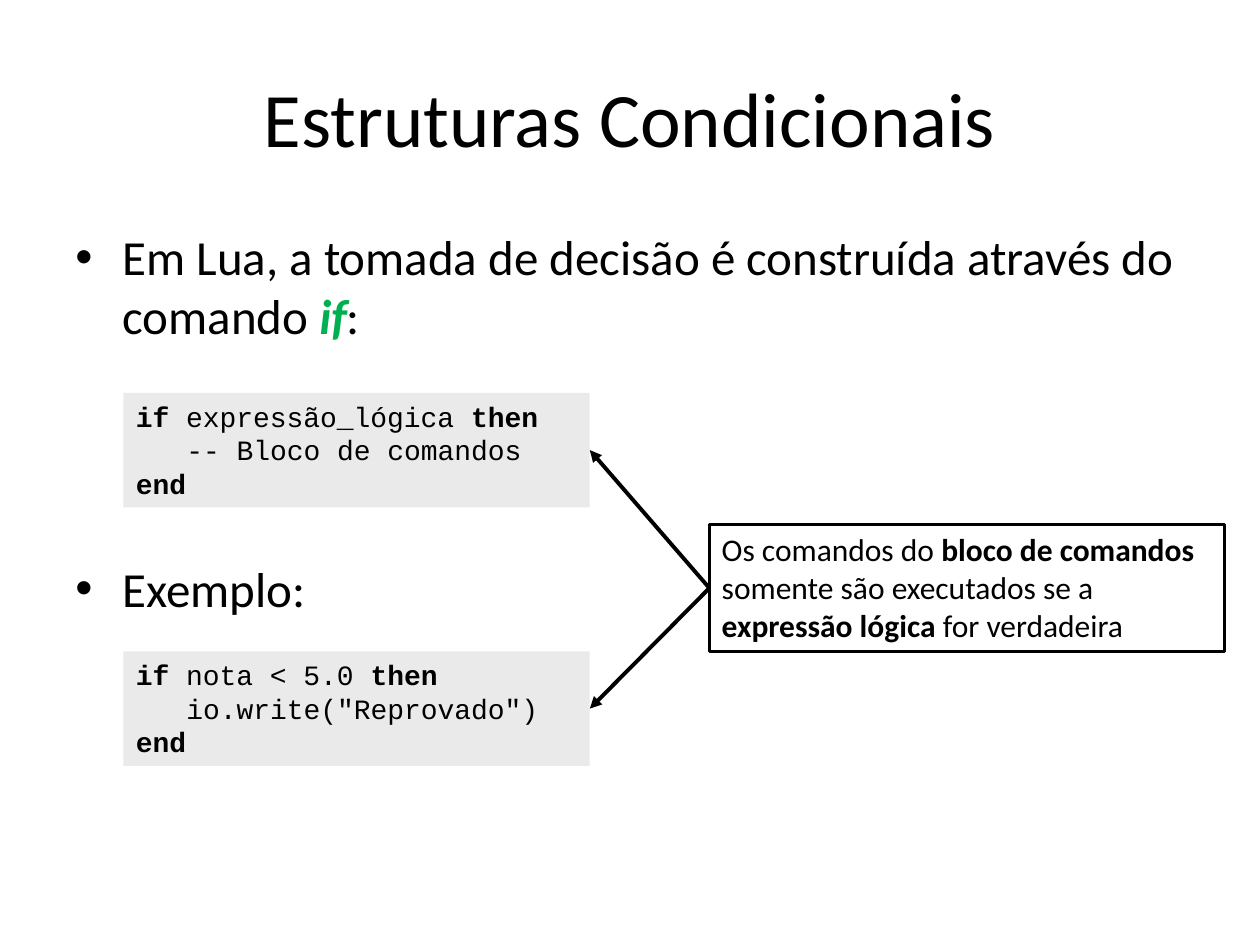
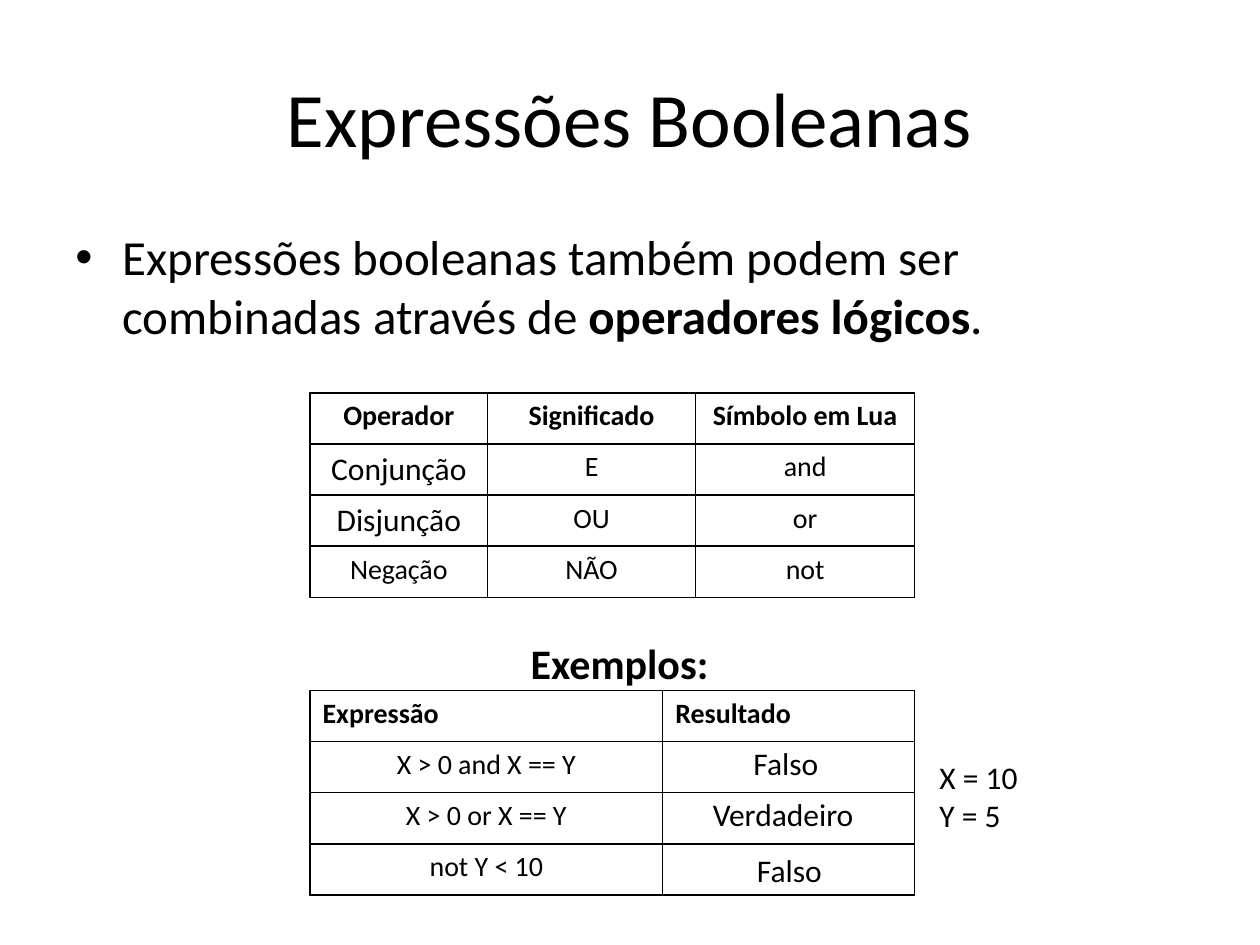
"""Two lecture slides on conditionals and boolean expressions in Lua."""
from dataclasses import dataclass

import lxml.etree
import pptx
import pptx.dml.color
import pptx.enum.shapes
import pptx.enum.text
import pptx.oxml.ns
import pptx.util

Cm = pptx.util.Cm
Pt = pptx.util.Pt
qn = pptx.oxml.ns.qn
PP_ALIGN = pptx.enum.text.PP_ALIGN
MSO_ANCHOR = pptx.enum.text.MSO_ANCHOR


@dataclass(frozen=True)
class Theme:
    """Colours, fonts, type sizes (pt) and line widths (pt)."""
    ink: str = "000000"
    keyword: str = "00B050"
    code_fill: str = "EAEAEA"
    font: str = "Calibri"
    code_font: str = "Courier New"
    title: int = 44
    body: int = 28
    heading: int = 24
    note: int = 18
    small: int = 16
    border: float = 1
    frame: float = 1.5
    arrow: float = 2.25


T = Theme()
BOLD = {"bold": True}
CODE_LEFT, CODE_WIDTH, CODE_HEIGHT = 2.49, 9.4, 2.31
CODE_INDENT = 1.02
TABLE_LEFT, ROW_HEIGHT = 6.25, 1.03


def rgb(value):
    """Turn a hex string into a colour."""
    return pptx.dml.color.RGBColor.from_string(value)


def add_sub(parent, tag, **attrs):
    """Append one DrawingML element."""
    return lxml.etree.SubElement(parent, qn(tag), attrs)


def write_runs(p, content, size, font=T.font, align=None, **base):
    """Fill a paragraph from a string or a list of (text, format) pairs."""
    p.alignment = align
    runs = [(content, {})] if isinstance(content, str) else content
    for text, extra in runs:
        r = p.add_run()
        r.text = text
        fmt = {"name": font, "size": Pt(size), **base, **extra}
        r.font.color.rgb = rgb(fmt.pop("color", T.ink))
        for key, value in fmt.items():
            setattr(r.font, key, value)


def indent(p, left, first=0):
    """Set the left margin and first-line indent of a paragraph in cm."""
    pPr = p._p.get_or_add_pPr()
    pPr.set("marL", str(Cm(left)))
    pPr.set("indent", str(Cm(first)))
    return pPr


def write_lines(tf, lines, size, **fmt):
    """Write one paragraph per line and return the paragraphs."""
    for i, line in enumerate(lines):
        p = tf.paragraphs[0] if i == 0 else tf.add_paragraph()
        write_runs(p, line, size, **fmt)
    return tf.paragraphs


def add_text(s, box, lines, size, anchor=MSO_ANCHOR.TOP, wrap=True, **fmt):
    """Add a text box and return its paragraphs."""
    tf = s.shapes.add_textbox(*map(Cm, box)).text_frame
    tf.word_wrap = wrap
    tf.vertical_anchor = anchor
    return write_lines(tf, lines, size, **fmt)


def add_title(s, text):
    """Add the centred slide title."""
    add_text(s, (1.27, 0.76, 22.86, 3.18), [text], T.title,
             anchor=MSO_ANCHOR.MIDDLE, align=PP_ALIGN.CENTER)


def add_bullets(s, items, gap=0):
    """Add the bulleted body, with a gap in points between items."""
    for i, p in enumerate(add_text(s, (1.27, 4.45, 22.86, 12.57), items, T.body)):
        p.space_before = Pt(gap if i else 0)
        pPr = indent(p, 0.95, -0.95)
        add_sub(pPr, "a:buFont", typeface="Arial")
        add_sub(pPr, "a:buChar", char="•")


def add_panel(s, box, lines, size, fill=None, line=None, **fmt):
    """Add a rectangle with left-aligned text and return its paragraphs."""
    sp = s.shapes.add_shape(
        pptx.enum.shapes.MSO_SHAPE.RECTANGLE, *map(Cm, box))
    sp.shadow.inherit = False
    if fill:
        sp.fill.solid()
        sp.fill.fore_color.rgb = rgb(fill)
    else:
        sp.fill.background()
    if line:
        sp.line.color.rgb = rgb(line)
        sp.line.width = Pt(T.frame)
    else:
        sp.line.fill.background()
    tf = sp.text_frame
    tf.word_wrap = True
    tf.vertical_anchor = MSO_ANCHOR.TOP
    return write_lines(tf, lines, size, align=PP_ALIGN.LEFT, **fmt)


def add_code(s, top, condition, command):
    """Add an if-then-end listing around one command."""
    lines = [[("if ", BOLD), (condition + " ", {}), ("then", BOLD)],
             command, [("end", BOLD)]]
    paragraphs = add_panel(s, (CODE_LEFT, top, CODE_WIDTH, CODE_HEIGHT), lines,
                           T.small, fill=T.code_fill, font=T.code_font)
    indent(paragraphs[1], CODE_INDENT)


def add_arrow(s, start, end):
    """Add a straight arrow between two points in cm."""
    c = s.shapes.add_connector(pptx.enum.shapes.MSO_CONNECTOR.STRAIGHT,
                               *map(Cm, (*start, *end)))
    c.line.color.rgb = rgb(T.ink)
    c.line.width = Pt(T.arrow)
    add_sub(c.line._get_or_add_ln(), "a:tailEnd", type="triangle")
    add_sub(c._element.spPr, "a:effectLst")


def add_borders(cell):
    """Draw the four borders of a table cell."""
    tcPr = cell._tc.get_or_add_tcPr()
    for side in "LRTB":
        ln = add_sub(tcPr, f"a:ln{side}", w=str(Pt(T.border)))
        add_sub(add_sub(ln, "a:solidFill"), "a:srgbClr", val=T.ink)


def add_grid(s, top, widths, rows, header_align=PP_ALIGN.CENTER, large=()):
    """Add a bordered table; words listed in large get the note size."""
    tbl = s.shapes.add_table(
        len(rows), len(widths), Cm(TABLE_LEFT), Cm(top),
        Cm(sum(widths)), Cm(ROW_HEIGHT * len(rows))).table
    tbl.first_row = tbl.horz_banding = False
    for col, width in zip(tbl.columns, widths):
        col.width = Cm(width)
    for i, row in enumerate(rows):
        tbl.rows[i].height = Cm(ROW_HEIGHT)
        for j, text in enumerate(row):
            cell = tbl.cell(i, j)
            add_borders(cell)
            cell.fill.background()
            if text:
                write_runs(cell.text_frame.paragraphs[0], text,
                           T.note if text in large else T.small,
                           align=PP_ALIGN.CENTER if i else header_align,
                           bold=i == 0)


def conditionals_slide(s):
    """Build the slide on the if command."""
    add_title(s, "Estruturas Condicionais")
    add_bullets(s, [
        [("Em Lua, a tomada de decisão é construída através do comando ", {}),
         ("if", {"bold": True, "italic": True, "color": T.keyword}), (":", {})],
        "Exemplo:"], gap=122)
    listings = [(7.92, "expressão_lógica", "-- Bloco de comandos"),
                (13.13, "nota < 5.0", 'io.write("Reprovado")')]
    for listing in listings:
        add_code(s, *listing)

    left, top, width, height = note = (14.3, 10.57, 10.39, 2.57)
    add_panel(s, note, [[
        ("Os comandos do ", {}), ("bloco de comandos ", BOLD),
        ("somente são executados se a ", {}), ("expressão lógica ", BOLD),
        ("for verdadeira", {})]], T.note, line=T.ink)
    for code_top, *_ in listings:
        add_arrow(s, (left, top + height / 2),
                  (CODE_LEFT + CODE_WIDTH, code_top + CODE_HEIGHT / 2))


def booleans_slide(s):
    """Build the slide on logical operators."""
    add_title(s, "Expressões Booleanas")
    add_bullets(s, [[
        ("Expressões booleanas também podem ser combinadas através de ", {}),
        ("operadores lógicos", BOLD), (".", {})]])
    add_grid(s, 13.92, (7.11, 5.08), [
        ("Expressão", "Resultado"), ("X > 0 and X == Y", ""),
        ("X > 0 or X == Y", ""), ("not Y < 10", "")],
        header_align=PP_ALIGN.LEFT)
    add_text(s, (9.91, 12.73, 5.16, 1.27), ["Exemplos:"], T.heading,
             align=PP_ALIGN.CENTER, bold=True)
    for left, top, width, result in [(14.94, 14.88, 1.83, "Falso"),
                                     (14.12, 15.9, 3.38, "Verdadeiro"),
                                     (15.01, 17.04, 1.83, "Falso")]:
        add_text(s, (left, top, width, 1.02), [result], T.note, wrap=False)
    add_grid(s, 7.92, (3.58, 4.19, 4.42), [
        ("Operador", "Significado", "Símbolo em Lua"),
        ("Conjunção", "E", "and"), ("Disjunção", "OU", "or"),
        ("Negação", "NÃO", "not")], large=("Conjunção", "Disjunção"))
    add_text(s, (18.69, 15.16, 3.81, 1.78), ["X = 10", "Y = 5"], T.note)


def main():
    """Build and save the presentation."""
    prs = pptx.Presentation()
    prs.slide_width, prs.slide_height = Cm(25.4), Cm(19.05)
    for build in (conditionals_slide, booleans_slide):
        build(prs.slides.add_slide(prs.slide_layouts[6]))
    prs.save("out.pptx")


main()
